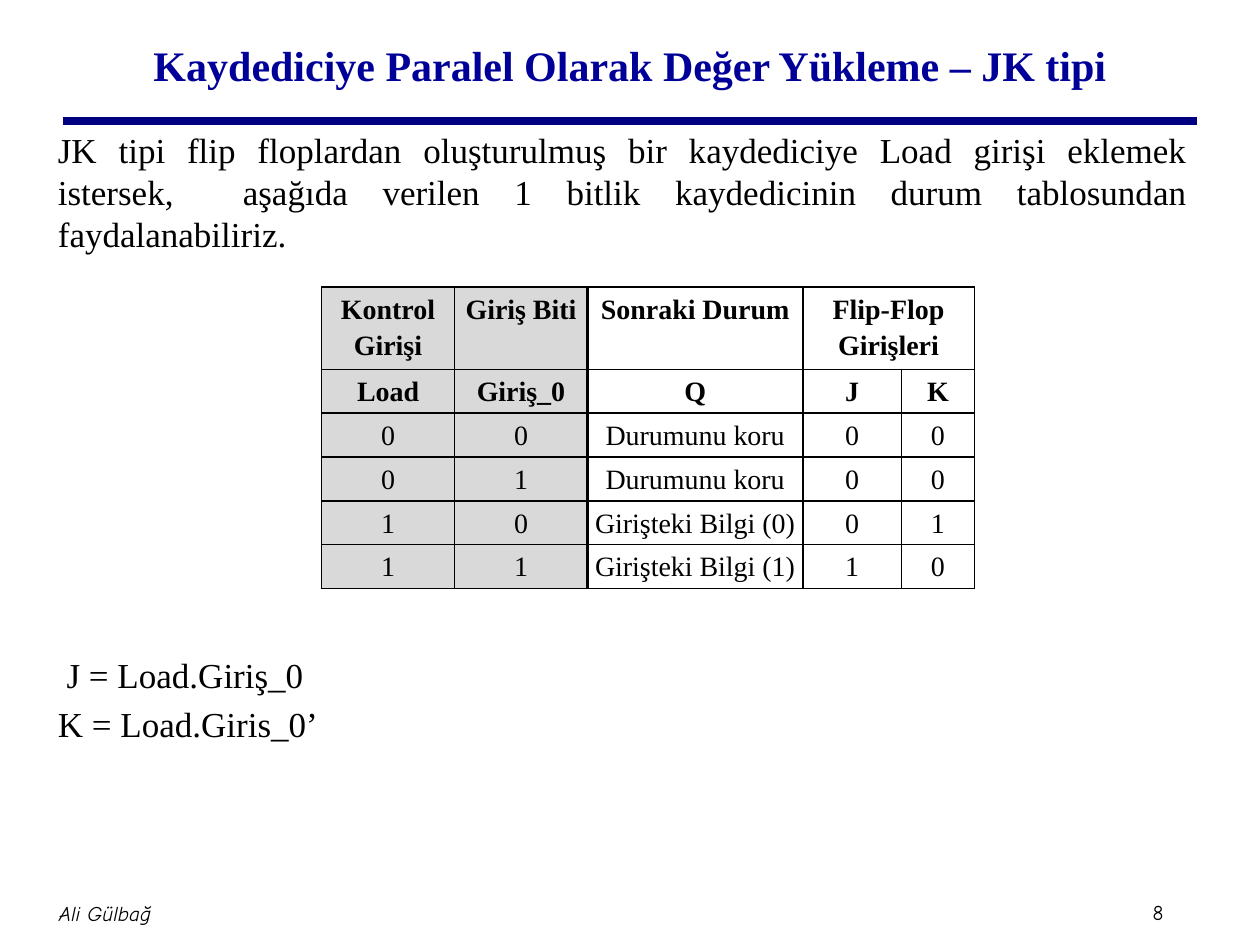
from dataclasses import dataclass

from lxml.etree import SubElement
from pptx import Presentation
from pptx.dml.color import RGBColor
from pptx.enum.shapes import MSO_CONNECTOR
from pptx.enum.text import MSO_ANCHOR, PP_ALIGN
from pptx.oxml import parse_xml
from pptx.oxml.ns import nsdecls, qn
from pptx.slide import Slide
from pptx.table import _Cell
from pptx.text.text import TextFrame
from pptx.util import Pt


@dataclass(frozen=True)
class Theme:
    serif: str = "Times New Roman"
    casual: str = "Comic Neue"
    title_color: str = "000099"
    rule_color: str = "000080"
    ink: str = "000000"
    paper: str = "FFFFFF"
    shade: str = "D9D9D9"
    title_size: float = 24
    body_size: float = 20
    table_size: float = 16
    footer_size: float = 12


@dataclass(frozen=True)
class Frame:
    left: float
    top: float
    width: float
    height: float

    def lengths(self) -> list[Pt]:
        return [Pt(value) for value in (self.left, self.top, self.width, self.height)]


@dataclass(frozen=True)
class Style:
    font: str
    size: float
    color: str
    align: PP_ALIGN = PP_ALIGN.LEFT
    bold: bool = False
    italic: bool = False
    space_before: float = 0
    line_spacing: float = 1.0


@dataclass(frozen=True)
class TextBlock:
    frame: Frame
    lines: tuple[str, ...]
    style: Style
    anchor: MSO_ANCHOR = MSO_ANCHOR.TOP
    inset: tuple[float, float] = (7.2, 3.6)


THEME = Theme()
TITLE = Style(THEME.serif, THEME.title_size, THEME.title_color, PP_ALIGN.CENTER, bold=True)
BODY = Style(THEME.serif, THEME.body_size, THEME.ink, PP_ALIGN.JUSTIFY, space_before=4)
HEADER = Style(THEME.serif, THEME.table_size, THEME.ink, PP_ALIGN.CENTER,
               bold=True, line_spacing=1.15)
VALUE = Style(THEME.serif, THEME.table_size, THEME.ink, PP_ALIGN.CENTER, line_spacing=1.15)
AUTHOR = Style(THEME.casual, THEME.footer_size, THEME.ink, PP_ALIGN.CENTER, italic=True)
PAGE_NUMBER = Style(THEME.casual, THEME.footer_size, THEME.ink)

INTRO = TextBlock(
    Frame(26, 70, 659.5, 84),
    ("JK tipi flip floplardan oluşturulmuş bir kaydediciye Load girişi eklemek istersek,  "
     "aşağıda verilen 1 bitlik kaydedicinin durum tablosundan faydalanabiliriz.",),
    BODY)
EQUATIONS = TextBlock(Frame(26, 370, 659.5, 66),
                      ("J = Load.Giriş_0", "K = Load.Giris_0’"), BODY)
FOOTERS = (
    TextBlock(Frame(0, 504, 120, 36), ("Ali Gülbağ",), AUTHOR, MSO_ANCHOR.MIDDLE, (3.6, 3.6)),
    TextBlock(Frame(655, 510.5, 34, 21.5), ("8",), PAGE_NUMBER, MSO_ANCHOR.MIDDLE, (3.6, 3.6)),
)

STATE_TABLE = (
    ("Kontrol Girişi", "Giriş Biti", "Sonraki Durum", "Flip-Flop Girişleri", ""),
    ("Load", "Giriş_0", "Q", "J", "K"),
    ("0", "0", "Durumunu koru", "0", "0"),
    ("0", "1", "Durumunu koru", "0", "0"),
    ("1", "0", "Girişteki Bilgi (0)", "0", "1"),
    ("1", "1", "Girişteki Bilgi (1)", "1", "0"),
)
COLUMN_WIDTHS = (76, 76, 123, 56.5, 41.5)
ROW_HEIGHTS = (43.5,) + (23.25,) * 5
HEADER_ROWS = 2
INPUT_COLUMNS = 2


def write(text_frame: TextFrame, lines: tuple[str, ...], style: Style) -> None:
    for index, line in enumerate(lines):
        para = text_frame.add_paragraph() if index else text_frame.paragraphs[0]
        para.text = line
        para.alignment = style.align
        para.space_before = Pt(style.space_before)
        para.line_spacing = style.line_spacing
        font = para.font
        font.name = style.font
        font.size = Pt(style.size)
        font.bold = style.bold
        font.italic = style.italic
        font.color.rgb = RGBColor.from_string(style.color)


def add_text(page: Slide, block: TextBlock) -> TextFrame:
    text_frame = page.shapes.add_textbox(*block.frame.lengths()).text_frame
    text_frame.word_wrap = True
    text_frame.vertical_anchor = block.anchor
    across, down = block.inset
    text_frame.margin_left = text_frame.margin_right = Pt(across)
    text_frame.margin_top = text_frame.margin_bottom = Pt(down)
    write(text_frame, block.lines, block.style)
    return text_frame


def add_title(page: Slide, text: str) -> None:
    title = page.shapes.title
    title.left, title.top, title.width, title.height = Frame(54, 6, 612, 62).lengths()
    title.text_frame.vertical_anchor = MSO_ANCHOR.MIDDLE
    write(title.text_frame, (text,), TITLE)


def add_title_rule(page: Slide) -> None:
    rule = page.shapes.add_connector(MSO_CONNECTOR.STRAIGHT, Pt(36), Pt(69.25), Pt(684), Pt(69.25))
    rule.line.color.rgb = RGBColor.from_string(THEME.rule_color)
    rule.line.width = Pt(4.5)
    SubElement(rule._element.spPr, qn("a:effectLst"))


def set_borders(cell: _Cell, column: int) -> None:
    """Draw all four sides, heavier between the inputs and the next state."""
    widths = {"lnL": 1.5 if column == INPUT_COLUMNS else 1,
              "lnR": 1.5 if column == INPUT_COLUMNS - 1 else 1,
              "lnT": 1, "lnB": 1}
    properties = cell._tc.get_or_add_tcPr()
    for position, (side, width) in enumerate(widths.items()):
        properties.insert(position, parse_xml(
            f'<a:{side} {nsdecls("a")} w="{Pt(width)}"><a:solidFill>'
            f'<a:srgbClr val="{THEME.ink}"/></a:solidFill></a:{side}>'))


def add_state_table(page: Slide) -> None:
    frame = Frame(183.75, 164, sum(COLUMN_WIDTHS), sum(ROW_HEIGHTS))
    table = page.shapes.add_table(
        len(ROW_HEIGHTS), len(COLUMN_WIDTHS), *frame.lengths()).table
    table.first_row = table.horz_banding = False
    for column, width in zip(table.columns, COLUMN_WIDTHS):
        column.width = Pt(width)
    for row, height in zip(table.rows, ROW_HEIGHTS):
        row.height = Pt(height)
    table.cell(0, 3).merge(table.cell(0, 4))
    for row_index, texts in enumerate(STATE_TABLE):
        for column_index, text in enumerate(texts):
            cell = table.cell(row_index, column_index)
            cell.margin_left = cell.margin_right = Pt(3)
            cell.margin_top = cell.margin_bottom = Pt(1.5)
            cell.fill.solid()
            color = THEME.shade if column_index < INPUT_COLUMNS else THEME.paper
            cell.fill.fore_color.rgb = RGBColor.from_string(color)
            set_borders(cell, column_index)
            write(cell.text_frame, (text,), HEADER if row_index < HEADER_ROWS else VALUE)


def main() -> None:
    deck = Presentation()
    deck.slide_width, deck.slide_height = Pt(720), Pt(540)
    page = deck.slides.add_slide(deck.slide_layouts[5])
    add_title_rule(page)
    for footer in FOOTERS:
        add_text(page, footer)
    add_title(page, "Kaydediciye Paralel Olarak Değer Yükleme – JK tipi")
    add_text(page, INTRO)
    equations = add_text(page, EQUATIONS)
    equations.paragraphs[0]._p.get_or_add_pPr().set("indent", str(Pt(5)))
    add_state_table(page)
    deck.save("out.pptx")


if __name__ == "__main__":
    main()
